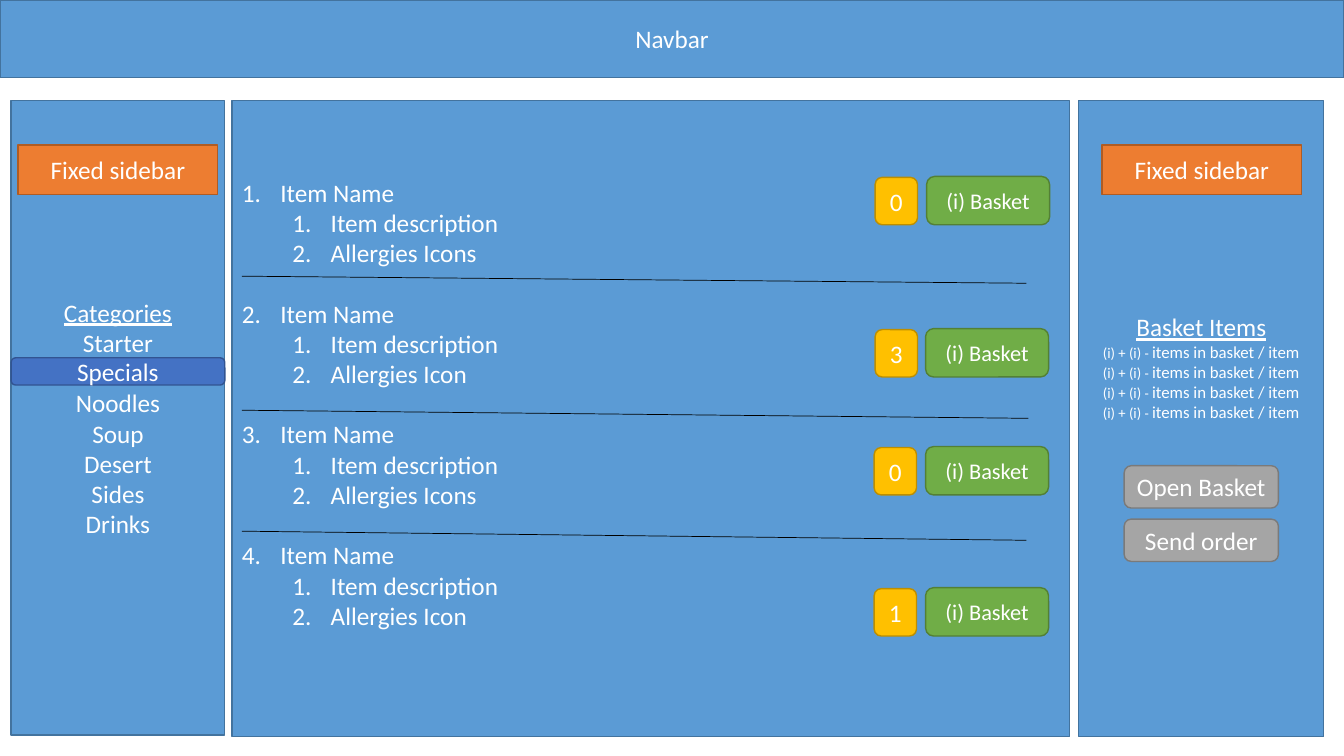
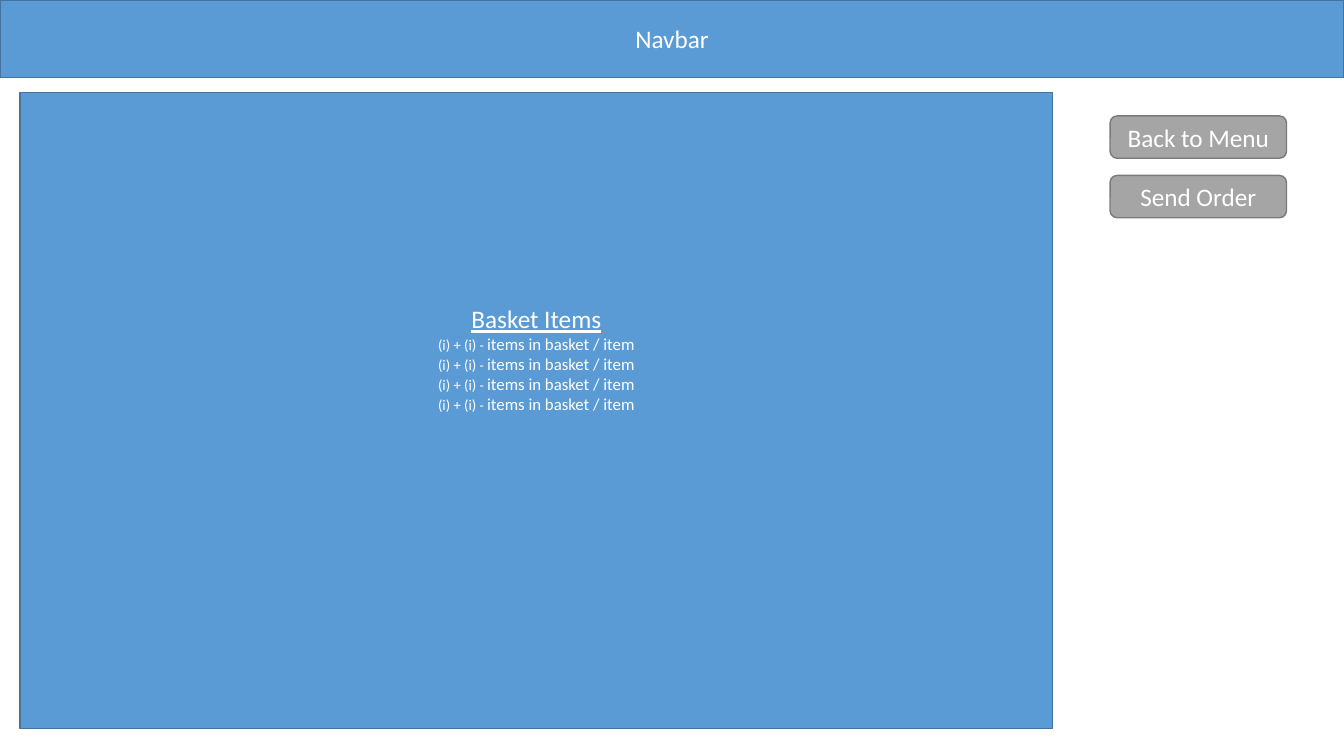
"""Build the two wireframe slides of a restaurant ordering page."""
import dataclasses
import typing

import lxml.etree
import pptx
import pptx.dml.color
import pptx.enum.shapes
import pptx.enum.text
import pptx.oxml.ns
import pptx.shapes.autoshape
import pptx.slide
import pptx.util

Inches = pptx.util.Inches
Pt = pptx.util.Pt
Shape = pptx.shapes.autoshape.Shape
Slide = pptx.slide.Slide
RECTANGLE = pptx.enum.shapes.MSO_SHAPE.RECTANGLE
ROUNDED = pptx.enum.shapes.MSO_SHAPE.ROUNDED_RECTANGLE
CENTER = pptx.enum.text.PP_ALIGN.CENTER
LEFT = pptx.enum.text.PP_ALIGN.LEFT


class Area(typing.NamedTuple):
    left: float
    top: float
    width: float
    height: float


class Paint(typing.NamedTuple):
    fill: str
    line: str


class Span(typing.NamedTuple):
    text: str
    size: float


@dataclasses.dataclass
class Para:
    spans: list[Span]
    underline: bool = False
    numbered: bool = False
    level: int = 0
    space_before: float = 0


@dataclasses.dataclass
class MenuItem:
    allergies: str
    count: str
    count_left: float
    basket_left: float
    basket_top: float


@dataclasses.dataclass
class Separator:
    start_y: float
    end_x: float
    end_y: float


PANEL = Paint("5B9BD5", "43739E")
BASKET = Paint("70AD47", "538035")
COUNT = Paint("FFC000", "BD8E00")
SELECTED = Paint("4472C4", "325491")
LABEL = Paint("ED7D31", "AF5C24")
ACTION = Paint("A5A5A5", "7A7A7A")

FONT = "Calibri"
TEXT_SIZE = 18
BLANK_LINE = 21.6
BASKET_INSET = 1.08
MENU_INSET = 0.35
NAVBAR = Area(0, 0, 13.33, 0.77)

CATEGORIES = ["Starter", "Specials", "Noodles", "Soup", "Desert", "Sides", "Drinks"]
MENU = [
    MenuItem("Allergies Icons", "0", 8.68, 9.19, 1.75),
    MenuItem("Allergies Icon", "3", 8.68, 9.18, 3.26),
    MenuItem("Allergies Icons", "0", 8.67, 9.18, 4.43),
    MenuItem("Allergies Icon", "1", 8.67, 9.18, 5.83),
]
SEPARATORS = [
    Separator(2.74, 10.18, 2.81),
    Separator(4.07, 10.2, 4.15),
    Separator(5.27, 10.18, 5.36),
]


def color(value: str) -> pptx.dml.color.RGBColor:
    return pptx.dml.color.RGBColor.from_string(value)


def plain(text: str, size: float = TEXT_SIZE, **options: typing.Any) -> Para:
    return Para([Span(text, size)], **options)


def basket_lines() -> list[Para]:
    entry = Para([Span("(i) + (i) ", 10.5), Span("- ", 10), Span("items in basket / item", 12)])
    return [plain("Basket Items", underline=True)] + [entry] * 4


def menu_lines() -> list[Para]:
    lines = []
    for index, item in enumerate(MENU):
        gap = BLANK_LINE if index else 0
        lines.append(plain("Item Name", numbered=True, space_before=gap))
        for detail in ("Item description", item.allergies):
            lines.append(plain(detail, numbered=True, level=1))
    return lines


def set_marker(paragraph: typing.Any, para: Para) -> None:
    properties = paragraph._p.get_or_add_pPr()
    hanging = Inches(0.38) if para.numbered else 0
    properties.set("marL", str(hanging + Inches(0.5) * para.level))
    properties.set("indent", str(-hanging))
    tag = "a:buAutoNum" if para.numbered else "a:buNone"
    marker = lxml.etree.SubElement(properties, pptx.oxml.ns.qn(tag))
    if para.numbered:
        marker.set("type", "arabicPeriod")


def write(box: Shape, lines: list[Para], bottom: float = 0.05) -> None:
    frame = box.text_frame
    frame.word_wrap = True
    frame.auto_size = pptx.enum.text.MSO_AUTO_SIZE.NONE
    frame.vertical_anchor = pptx.enum.text.MSO_ANCHOR.MIDDLE
    frame.margin_left = frame.margin_right = Inches(0.1)
    frame.margin_top, frame.margin_bottom = Inches(0.05), Inches(bottom)
    for index, para in enumerate(lines):
        paragraph = frame.add_paragraph() if index else frame.paragraphs[0]
        paragraph.alignment = LEFT if para.numbered else CENTER
        paragraph.level = para.level
        paragraph.space_before = Pt(para.space_before)
        set_marker(paragraph, para)
        paragraph.font.name = FONT
        paragraph.font.size = Pt(para.spans[0].size)
        paragraph.font.underline = para.underline
        paragraph.font.color.rgb = color("FFFFFF")
        for span in para.spans:
            run = paragraph.add_run()
            run.text = span.text
            if len(para.spans) > 1:
                run.font.size = Pt(span.size)


def paint_box(box: Shape, paint: Paint) -> None:
    box.fill.solid()
    box.fill.fore_color.rgb = color(paint.fill)
    box.line.color.rgb = color(paint.line)
    box.line.width = Pt(1)


def place(box: Shape, area: Area) -> None:
    box.left, box.top, box.width, box.height = map(Inches, area)


def add_box(page: Slide, kind: typing.Any, area: Area, paint: Paint,
            lines: list[Para], bottom: float = 0.05) -> None:
    box = page.shapes.add_shape(kind, *map(Inches, area))
    box.shadow.inherit = False
    paint_box(box, paint)
    write(box, lines, bottom)


def add_button(page: Slide, area: Area, paint: Paint, text: str, size: float = TEXT_SIZE) -> None:
    add_box(page, ROUNDED, area, paint, [plain(text, size)])


def add_separator(page: Slide, separator: Separator) -> None:
    ends = map(Inches, (2.4, separator.start_y, separator.end_x, separator.end_y))
    line = page.shapes.add_connector(pptx.enum.shapes.MSO_CONNECTOR.STRAIGHT, *ends)
    line.line.color.rgb = color("000000")
    line.line.width = Pt(0.5)
    lxml.etree.SubElement(line.element.spPr, pptx.oxml.ns.qn("a:effectLst"))


def add_page(deck: typing.Any, area: Area, lines: list[Para], bottom: float) -> Slide:
    page = deck.slides.add_slide(deck.slide_layouts[1])
    navbar, body = page.placeholders
    place(navbar, NAVBAR)
    geometry = lxml.etree.SubElement(
        navbar.element.spPr, pptx.oxml.ns.qn("a:prstGeom"), prst="roundRect")
    lxml.etree.SubElement(geometry, pptx.oxml.ns.qn("a:avLst"))
    paint_box(navbar, PANEL)
    write(navbar, [plain("Navbar")])
    place(body, area)
    paint_box(body, PANEL)
    write(body, lines, bottom)
    return page


def build_menu_page(deck: typing.Any) -> None:
    page = add_page(deck, Area(2.3, 1, 8.31, 6.31), menu_lines(), MENU_INSET)
    categories = [plain("Categories", underline=True)] + [plain(name) for name in CATEGORIES]
    add_box(page, RECTANGLE, Area(0.11, 1, 2.12, 6.29), PANEL, categories)
    add_button(page, Area(0.11, 3.55, 2.12, 0.27), SELECTED, "Specials")
    for separator in SEPARATORS:
        add_separator(page, separator)
    for item in MENU:
        add_button(page, Area(item.basket_left, item.basket_top, 1.22, 0.48),
                   BASKET, "(i) Basket", 16)
        add_button(page, Area(item.count_left, item.basket_top + 0.01, 0.42, 0.47),
                   COUNT, item.count)
    add_box(page, RECTANGLE, Area(10.7, 1, 2.43, 6.31), PANEL, basket_lines(), BASKET_INSET)
    for left in (0.18, 10.93):
        add_box(page, RECTANGLE, Area(left, 1.44, 1.98, 0.49), LABEL, [plain("Fixed sidebar")])
    for top, text in ((4.62, "Open Basket"), (5.15, "Send order")):
        add_button(page, Area(11.15, top, 1.53, 0.42), ACTION, text)


def build_basket_page(deck: typing.Any) -> None:
    page = add_page(deck, Area(0.2, 0.92, 10.24, 6.31), basket_lines(), BASKET_INSET)
    for top, text in ((1.15, "Back to Menu"), (1.74, "Send Order")):
        add_button(page, Area(11.01, top, 1.75, 0.42), ACTION, text)


def main() -> None:
    deck = pptx.Presentation()
    deck.slide_width, deck.slide_height = Inches(13.33), Inches(7.5)
    build_menu_page(deck)
    build_basket_page(deck)
    deck.save("out.pptx")


main()
